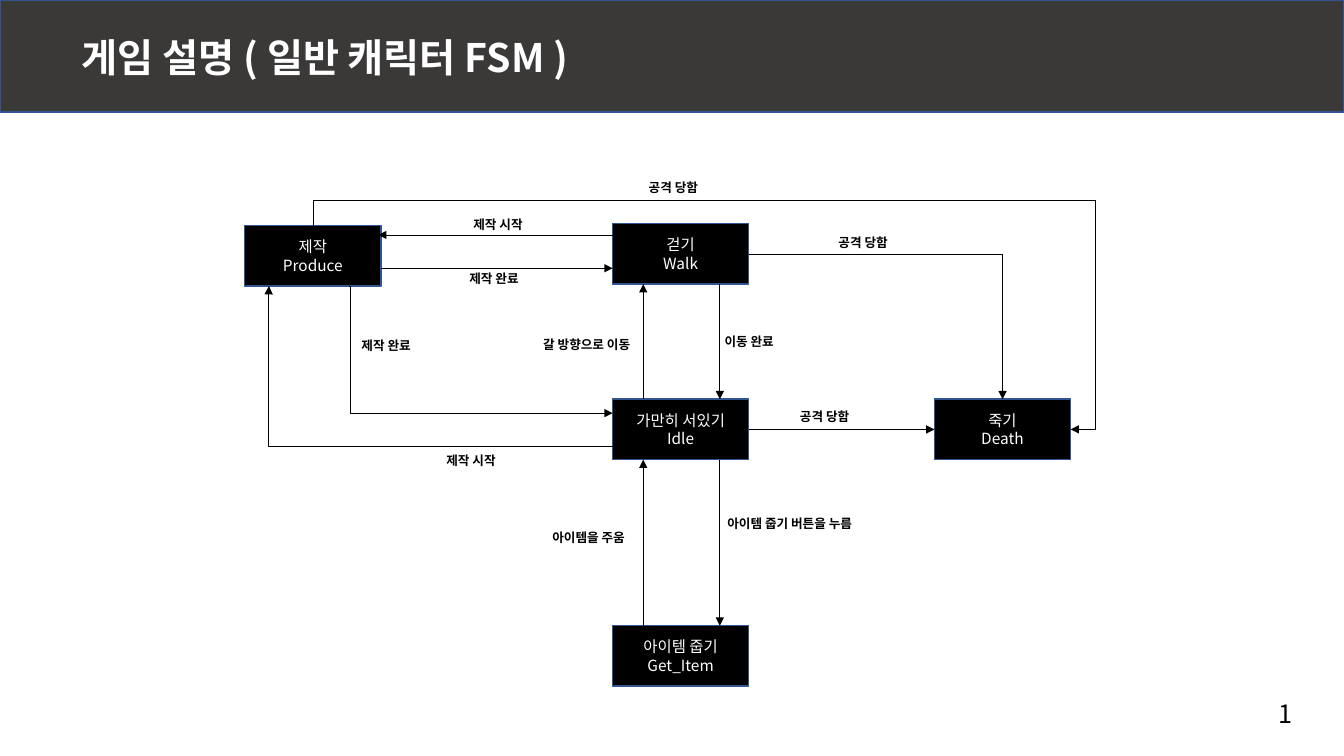
import pptx
import pptx.util
import pptx.dml.color
import pptx.enum.shapes
import pptx.enum.text
import pptx.oxml.ns
from lxml import etree

Cm, Pt = pptx.util.Cm, pptx.util.Pt
RGB = pptx.dml.color.RGBColor.from_string
MSO_SHAPE = pptx.enum.shapes.MSO_SHAPE
KIND = pptx.enum.shapes.MSO_CONNECTOR
ALIGN = pptx.enum.text.PP_ALIGN
ANCHOR = pptx.enum.text.MSO_ANCHOR
AUTO = pptx.enum.text.MSO_AUTO_SIZE
qn = pptx.oxml.ns.qn

FONT = "Noto Sans CJK KR"
COLORS = {"bar": "3B3838", "edge": "325491", "black": "000000", "white": "FFFFFF"}
TOP, LEFT, RIGHT = 0, 1, 3  # connection sites

prs = pptx.Presentation()
prs.slide_width, prs.slide_height = Cm(33.87), Cm(19.05)
s = prs.slides.add_slide(prs.slide_layouts[5])


def write(sp, text, size, color, bold=False, align=ALIGN.LEFT, anchor=ANCHOR.TOP):
    tf = sp.text_frame
    tf.text = text
    tf.vertical_anchor = anchor
    for p in tf.paragraphs:
        p.alignment = align
        for r in p.runs:
            r.font.name, r.font.size, r.font.bold = FONT, Pt(size), bold
            r.font.color.rgb = RGB(COLORS[color])
            etree.SubElement(r.font._element, qn("a:ea")).set("typeface", FONT)


def arrow(x1, y1, x2, y2, kind=KIND.STRAIGHT):
    c = s.shapes.add_connector(kind, Cm(x1), Cm(y1), Cm(x2), Cm(y2))
    c.line.color.rgb = RGB(COLORS["black"])
    c.line.width = Pt(0.5)
    etree.SubElement(c.line._get_or_add_ln(), qn("a:tailEnd")).set("type", "triangle")
    etree.SubElement(c._element.spPr, qn("a:effectLst"))
    return c


# Title bar, kept behind the title, and the state boxes
BOX_W, BOX_H = 3.43, 1.52
COL_X, IDLE_Y, WALK_Y, ITEM_Y = 15.44, 10.06, 5.64, 15.77
rects = [
    ("bar", "", 0, 0, 33.87, 2.82),
    ("produce", "제작\nProduce", 6.17, 5.69, BOX_W, BOX_H),
    ("walk", "걷기\nWalk", COL_X, WALK_Y, BOX_W, BOX_H),
    ("idle", "가만히 서있기\nIdle", COL_X, IDLE_Y, BOX_W, BOX_H),
    ("death", "죽기\nDeath", 23.55, IDLE_Y, BOX_W, BOX_H),
    ("item", "아이템 줍기\nGet_Item", COL_X, ITEM_Y, BOX_W, BOX_H),
]
box = {}
for name, text, x, y, w, h in rects:
    sp = s.shapes.add_shape(MSO_SHAPE.RECTANGLE, Cm(x), Cm(y), Cm(w), Cm(h))
    sp.shadow.inherit = False
    sp.fill.solid()
    sp.fill.fore_color.rgb = RGB(COLORS["bar" if name == "bar" else "black"])
    sp.line.color.rgb = RGB(COLORS["edge"])
    sp.line.width = Pt(1)
    if text:
        write(sp, text, 11, "white", align=ALIGN.CENTER, anchor=ANCHOR.MIDDLE)
    box[name] = sp
s.shapes._spTree.insert(2, box["bar"]._element)

# Title
title = s.shapes.title
title.left, title.top, title.width, title.height = Cm(1.8), Cm(0.71), Cm(15.14), Cm(1.45)
write(title, "게임 설명 ( 일반 캐릭터 FSM )", 28, "white", bold=True)
title.text_frame.auto_size = AUTO.SHAPE_TO_FIT_TEXT

# Straight transitions: up and down in the middle column, then Produce and Walk
UP_X, DOWN_X = 16.21, 18.14
for upper, lower in [(WALK_Y + BOX_H, IDLE_Y), (IDLE_Y + BOX_H, ITEM_Y)]:
    arrow(DOWN_X, upper, DOWN_X, lower)
    arrow(UP_X, lower, UP_X, upper)
arrow(COL_X, 5.92, 9.53, 5.92)
arrow(9.6, 6.76, COL_X, 6.76)

# Transitions joined to the middle of a side
joined = [
    ("idle", RIGHT, "death", LEFT, KIND.STRAIGHT, None),
    ("walk", RIGHT, "death", TOP, KIND.ELBOW, "bentConnector2"),
    ("produce", TOP, "death", RIGHT, KIND.ELBOW, "bentConnector4"),
]
bent = []
for start, out_side, end, in_side, kind, preset in joined:
    c = arrow(0, 0, 1, 1, kind)
    c.begin_connect(box[start], out_side)
    c.end_connect(box[end], in_side)
    if preset:
        bent.append((c, preset, []))

# The route over the top is turned a quarter about its centre
over = bent[-1][0]
mid_x, mid_y = over.left + over.width // 2, over.top + over.height // 2
over.width, over.height = over.height, over.width
over.left, over.top = mid_x - over.width // 2, mid_y - over.height // 2
xfrm = over._element.spPr.find(qn("a:xfrm"))
xfrm.set("rot", "16200000")
xfrm.set("flipH", "1")
bent[-1] = (over, "bentConnector4", [-12400, 103300])

# Elbows between Produce and Idle
bent.append((arrow(8.79, 7.21, COL_X, 10.41, KIND.ELBOW), "bentConnector3", [700]))
bent.append((arrow(COL_X, 11.25, 6.78, 7.21, KIND.ELBOW), "bentConnector3", [100100]))

for c, preset, adjusts in bent:
    geom = c._element.spPr.find(qn("a:prstGeom"))
    geom.set("prst", preset)
    guides = geom.find(qn("a:avLst"))
    if guides is None:
        guides = etree.SubElement(geom, qn("a:avLst"))
    for i, value in enumerate(adjusts, 1):
        gd = etree.SubElement(guides, qn("a:gd"))
        gd.set("name", f"adj{i}" if preset != "bentConnector3" else "adj1")
        gd.set("fmla", f"val {value}")

# Transition labels and page number
labels = [
    ("아이템 줍기 버튼을 누름", 18.08, 12.88, 4.06),
    ("아이템을 주움", 13.67, 13.23, 2.54),
    ("갈 방향으로 이동", 13.44, 8.36, 2.97),
    ("이동 완료", 18.01, 8.28, 1.9),
    ("공격 당함", 19.91, 10.19, 1.9),
    ("공격 당함", 20.88, 5.79, 1.9),
    ("공격 당함", 16.1, 4.42, 1.9),
    ("제작 시작", 11.68, 5.33, 1.9),
    ("제작 완료", 11.58, 6.71, 1.9),
    ("제작 완료", 8.86, 8.38, 1.9),
    ("제작 시작", 11, 11.28, 1.9),
    ("1", 31.98, 17.48, 0.86),
]
for text, x, y, w in labels:
    is_page = text == "1"
    sp = s.shapes.add_textbox(Cm(x), Cm(y), Cm(w), Cm(1.02 if is_page else 0.64))
    write(sp, text, 18 if is_page else 9, "black", bold=not is_page)
    sp.text_frame.word_wrap = False
    sp.text_frame.auto_size = AUTO.SHAPE_TO_FIT_TEXT

prs.save("out.pptx")
